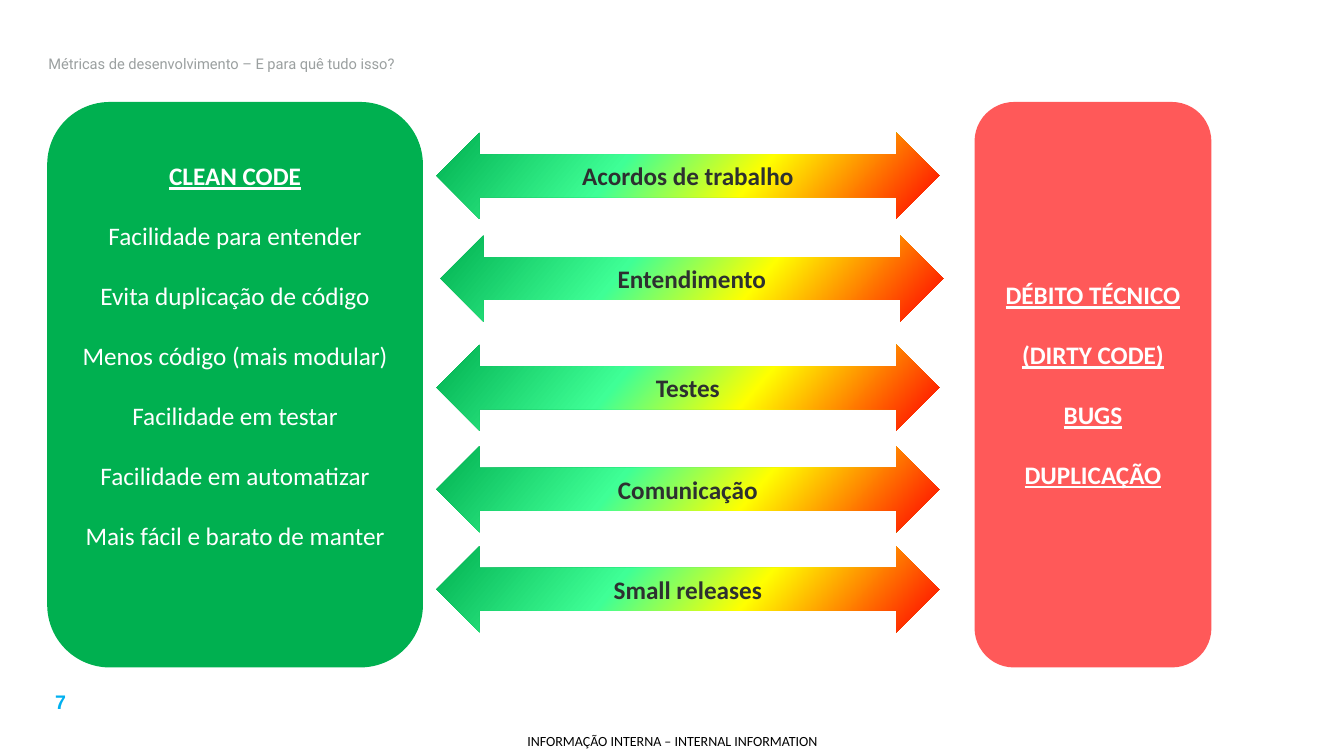
from copy import deepcopy

from pptx import Presentation
from pptx import util as u
from pptx.dml.color import RGBColor
from pptx.enum import shapes, text
from pptx.oxml import ns, parse_xml

Cm = u.Cm
KIND = shapes.MSO_SHAPE


def rgb(code):
    return RGBColor.from_string(code)


def write(shape, lines, size, font, color, heads=(), bold=False, gap=0,
          align=text.PP_ALIGN.CENTER, anchor=text.MSO_ANCHOR.MIDDLE):
    """Fill a shape with lines; those in heads are bold and underlined."""
    frame = shape.text_frame
    frame.word_wrap = True
    frame.vertical_anchor = anchor
    frame.text = "\n".join(lines)
    for i, para in enumerate(frame.paragraphs):
        para.alignment = align
        para.space_before = u.Pt(gap if i else 0)
        for run in para.runs:
            head = run.text in heads
            run.font.size = u.Pt(size)
            run.font.name = font
            run.font.color.rgb = rgb(color)
            run.font.bold = bold or head
            run.font.underline = head


prs = Presentation()
prs.slide_width, prs.slide_height = Cm(33.87), Cm(19.05)
slide = prs.slides.add_slide(prs.slide_layouts[6])
tree = slide.shapes

# Title, page number and footer
title = tree.add_textbox(Cm(0.97), Cm(0.97), Cm(30.18), Cm(1.27))
write(title, ["Métricas de desenvolvimento – E para quê tudo isso?"],
      10.5, "Roboto", "9BA0A0", align=text.PP_ALIGN.LEFT)

page = tree.add_textbox(Cm(0.53), Cm(17.27), Cm(2), Cm(0.86))
write(page, ["7"], 14, "Arial", "00B0F0", bold=True,
      anchor=text.MSO_ANCHOR.TOP)

foot = tree.add_textbox(Cm(12.78), Cm(18.31), Cm(8.33), Cm(0.74))
frame = foot.text_frame
frame.margin_left = frame.margin_right = 0
frame.margin_top = frame.margin_bottom = 0
write(foot, ["INFORMAÇÃO INTERNA – INTERNAL INFORMATION"],
      10, "Calibri", "000000")

# Panels: left, width, fill, opacity in percent, bottom margin, heads, lines
clean = ["CLEAN CODE"]
gains = ["Facilidade para entender", "Evita duplicação de código",
         "Menos código (mais modular)", "Facilidade em testar",
         "Facilidade em automatizar", "Mais fácil e barato de manter"]
debt = ["DÉBITO TÉCNICO", "(DIRTY CODE)", "BUGS", "DUPLICAÇÃO"]
panels = [
    (1.19, 9.47, "00B050", 100, 1.6, clean, clean + gains),
    (24.56, 5.97, "FF0000", 65, 0.13, debt, debt),
]
for left, width, color, alpha, low, heads, lines in panels:
    panel = tree.add_shape(KIND.ROUNDED_RECTANGLE, Cm(left), Cm(2.57),
                           Cm(width), Cm(14.25))
    panel.shadow.inherit = False
    panel.line.fill.background()
    panel.fill.solid()
    panel.fill.fore_color.rgb = rgb(color)
    if alpha < 100:
        tone = panel._element.spPr.find(".//" + ns.qn("a:srgbClr"))
        tone.append(parse_xml(
            f'<a:alpha {ns.nsdecls("a")} val="{alpha * 1000}"/>'))
    panel.text_frame.margin_bottom = Cm(low)
    write(panel, lines, 18, "Calibri", "FFFFFF", heads=heads, gap=21.2)

# Arrows from clean code to technical debt
stops = [(0, "00B050"), (0.37, "3FFF96"), (0.62, "FFFF00"), (1, "FF0000")]
arrows = [
    (11, 3.35, "Acordos de trabalho"),
    (11.1, 5.94, "Entendimento"),
    (11, 8.69, "Testes"),
    (11, 11.25, "Comunicação"),
    (11, 13.77, "Small releases"),
]
for left, top, label in arrows:
    arrow = tree.add_shape(KIND.LEFT_RIGHT_ARROW, Cm(left), Cm(top),
                           Cm(12.67), Cm(2.16))
    arrow.shadow.inherit = False
    arrow.line.fill.background()
    arrow.fill.gradient()
    arrow.fill.gradient_angle = 320
    ramp = arrow._element.spPr.find(".//" + ns.qn("a:gsLst"))
    while len(ramp) < len(stops):
        ramp.append(deepcopy(ramp[0]))
    for stop, (place, color) in zip(arrow.fill.gradient_stops, stops):
        stop.position = place
        stop.color.rgb = rgb(color)
    write(arrow, [label], 18, "Calibri", "2D3030", bold=True)

prs.save("out.pptx")
